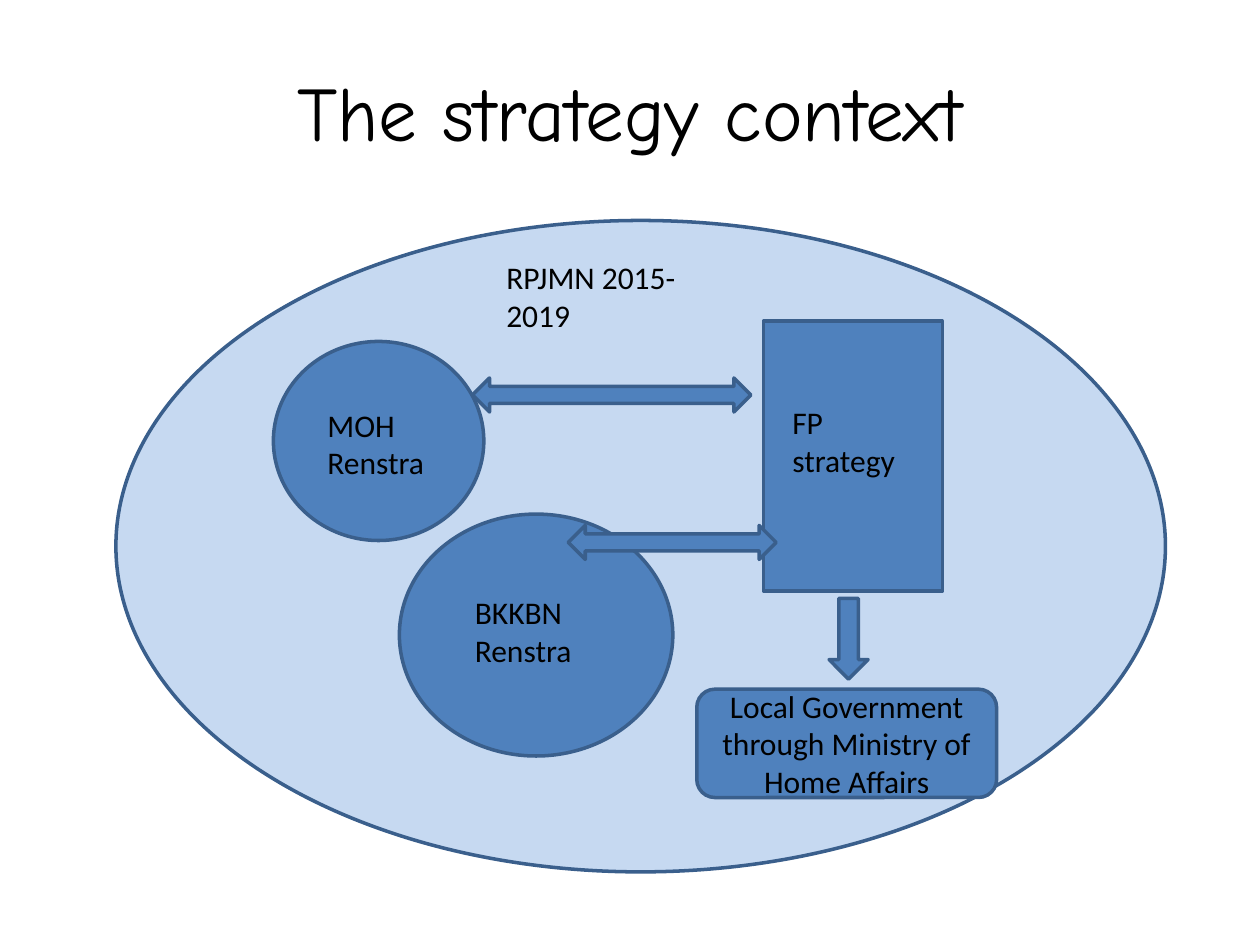
from pptx import Presentation
from pptx.dml.color import RGBColor
from pptx.enum.shapes import MSO_SHAPE
from pptx.enum.text import MSO_ANCHOR, PP_ALIGN
from pptx.util import Inches, Pt

BLACK = RGBColor(0x00, 0x00, 0x00)
PALE = RGBColor(0xC6, 0xD9, 0xF1)
BLUE = RGBColor(0x4F, 0x81, 0xBD)
OUTLINE = RGBColor(0x3A, 0x5F, 0x8C)

TITLE = ("The strategy context", (0.5, 0.25, 9, 1.25))
PLAN = (0.92, 1.75, 8.33, 5.17)
LOCAL_GOVERNMENT = (
    "Local Government through Ministry of Home Affairs",
    (5.53, 5.47, 2.38, 0.86),
)
ACTORS = [
    (MSO_SHAPE.OVAL, (2.17, 2.71, 1.67, 1.58)),
    (MSO_SHAPE.OVAL, (3.17, 4.08, 2.17, 1.92)),
    (MSO_SHAPE.RECTANGLE, (6.06, 2.55, 1.42, 2.14)),
]
ARROWS = [
    (MSO_SHAPE.LEFT_RIGHT_ARROW, (3.75, 3, 2.21, 0.27)),
    (MSO_SHAPE.LEFT_RIGHT_ARROW, (4.51, 4.17, 1.65, 0.27)),
    (MSO_SHAPE.DOWN_ARROW, (6.58, 4.75, 0.31, 0.64)),
]
LABELS = [
    ("RPJMN 2015-2019", (3.92, 2, 1.83, 0.71)),
    ("BKKBN Renstra", (3.67, 4.66, 1.42, 0.71)),
    ("MOH Renstra", (2.5, 3.17, 1.17, 0.71)),
    ("FP strategy", (6.19, 3.15, 1.16, 0.71)),
]


def write(holder, text, size=18, font="Calibri", centred=False):
    frame = holder.text_frame
    frame.word_wrap = True
    frame.vertical_anchor = MSO_ANCHOR.MIDDLE if centred else MSO_ANCHOR.TOP
    paragraph = frame.paragraphs[0]
    paragraph.alignment = PP_ALIGN.CENTER if centred else PP_ALIGN.LEFT
    run = paragraph.add_run()
    run.text = text
    run.font.size = Pt(size)
    run.font.name = font
    run.font.color.rgb = BLACK


def draw(slide, preset, place, fill=BLUE):
    shape = slide.shapes.add_shape(preset, *map(Inches, place))
    shape.shadow.inherit = False
    shape.fill.solid()
    shape.fill.fore_color.rgb = fill
    shape.line.color.rgb = OUTLINE
    shape.line.width = Pt(2)
    return shape


def label(slide, text, place, **style):
    write(slide.shapes.add_textbox(*map(Inches, place)), text, **style)


def main():
    deck = Presentation()
    deck.slide_width, deck.slide_height = Inches(10), Inches(7.5)
    slide = deck.slides.add_slide(deck.slide_layouts[6])

    label(slide, *TITLE, size=44, font="Comic Neue", centred=True)
    draw(slide, MSO_SHAPE.OVAL, PLAN, PALE)
    for preset, place in ACTORS:
        draw(slide, preset, place)
    for text, place in LABELS:
        label(slide, text, place)
    text, place = LOCAL_GOVERNMENT
    write(draw(slide, MSO_SHAPE.ROUNDED_RECTANGLE, place), text, centred=True)
    for preset, place in ARROWS:
        draw(slide, preset, place)

    deck.save("out.pptx")


if __name__ == "__main__":
    main()
